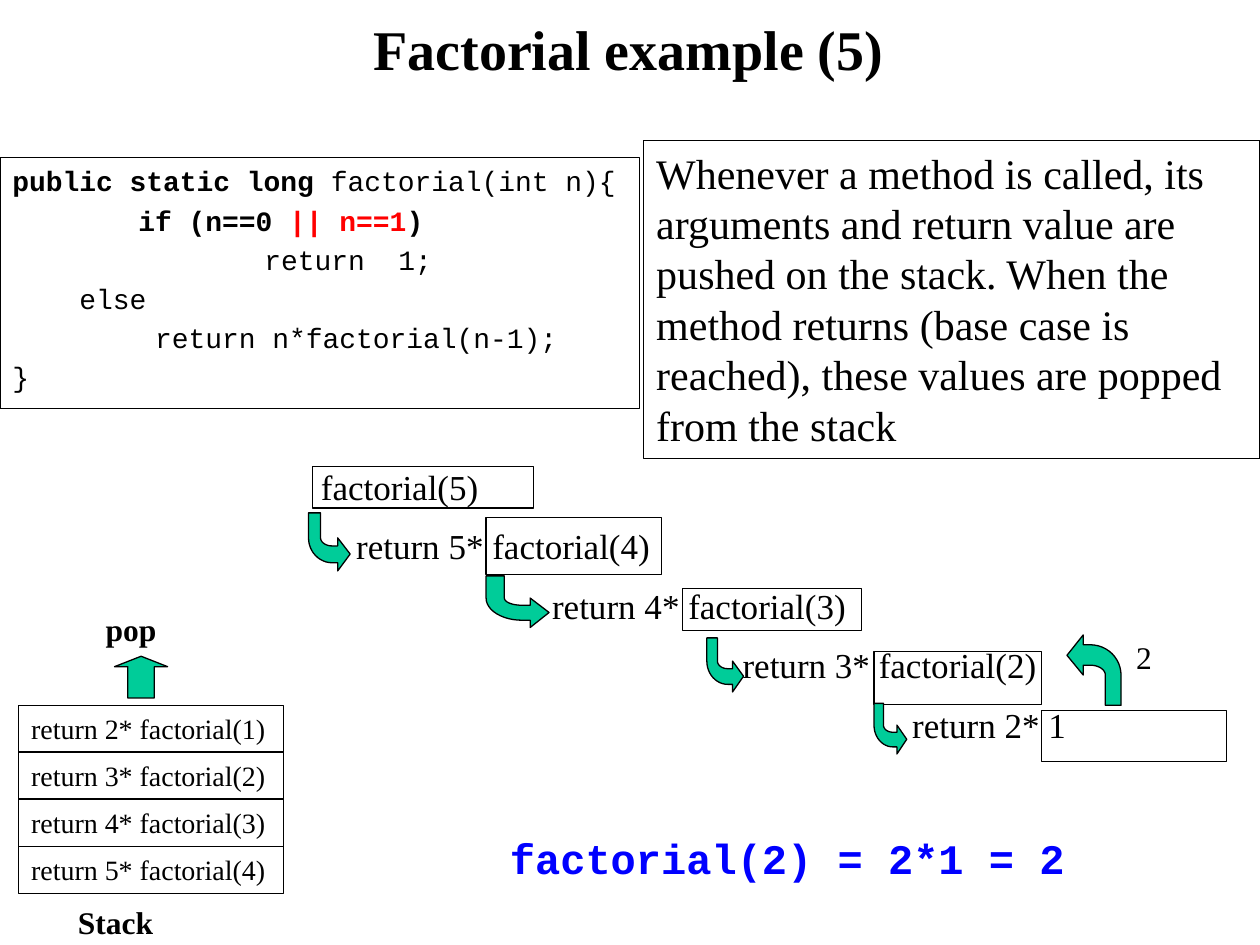
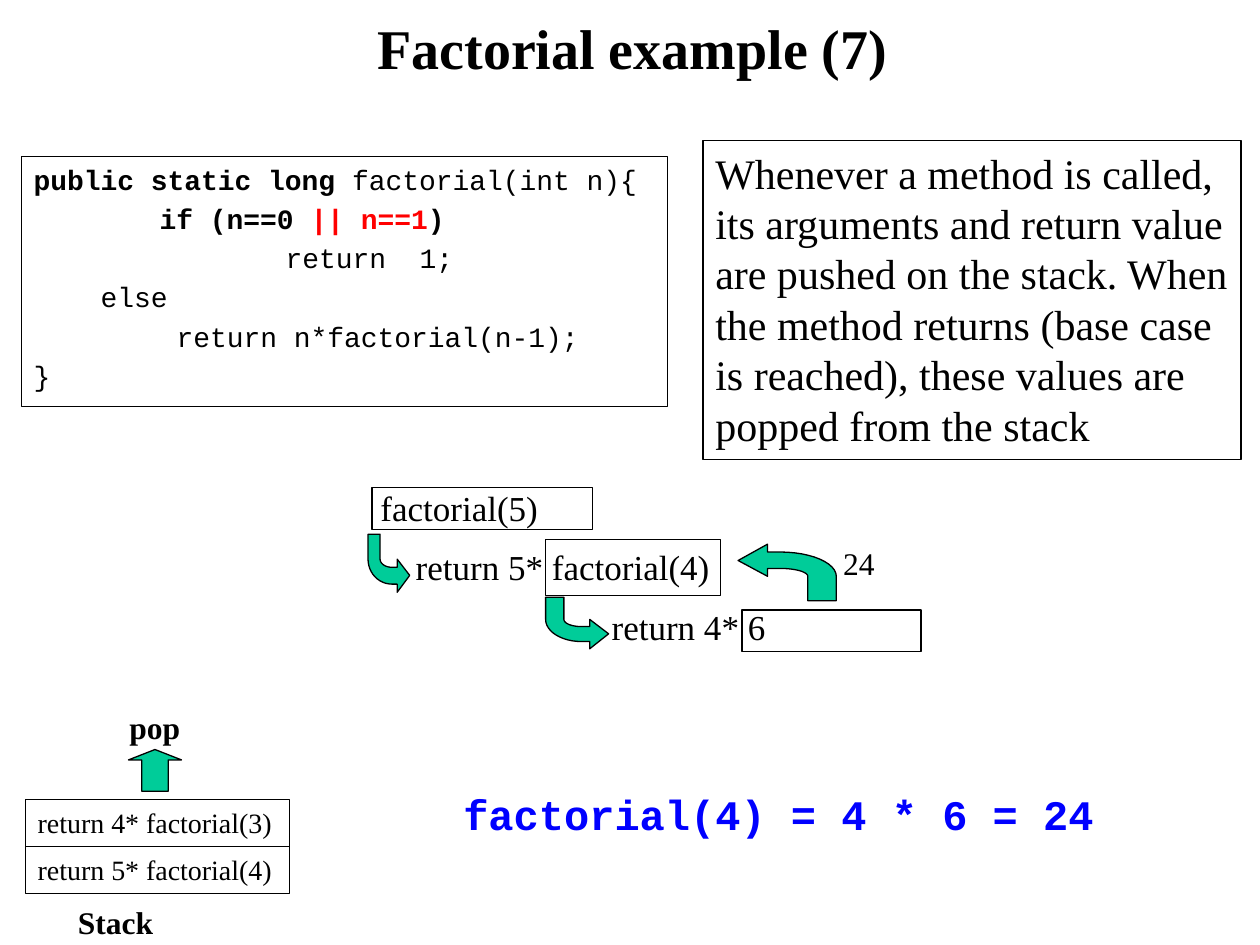
import math
import pptx
import pptx.util
import pptx.dml.color
import pptx.enum.shapes
import pptx.enum.text
import lxml.etree

Cm = pptx.util.Cm
Pt = pptx.util.Pt
Shapes = pptx.enum.shapes.MSO_SHAPE
Align = pptx.enum.text.PP_ALIGN
Anchor = pptx.enum.text.MSO_ANCHOR


class Theme:
    black, red, blue, green, white = "000000", "FF0000", "0000FF", "00CC99", "FFFFFF"
    serif, mono = "Times New Roman", "Courier New"
    line_width = 0.75
    title = {"name": serif, "size": 32, "bold": True}
    code = {"name": mono, "size": 16}
    note = {"name": serif, "size": 24}
    call = {"name": serif, "size": 20}
    frame = {"name": serif, "size": 16}
    label = {"name": serif, "size": 18, "bold": True}
    value = {"name": serif, "size": 18}
    result = {"name": mono, "size": 24, "bold": True, "color": blue}


BOLD = {"bold": True}
BOLD_RED = {"bold": True, "color": Theme.red}

CODE = [
    (0, [("public static long", BOLD), (" factorial(int n){", {})]),
    (2.54, [("if (n==0 ", BOLD), ("|| n==1", BOLD_RED), (")", BOLD)]),
    (5.08, [("return  1;", {})]),
    (1.35, [("else", {})]),
    (2.88, [("return n*factorial(n-1);", {})]),
    (0, [("}", {})]),
]
NOTE = ("Whenever a method is called, its arguments and return value are pushed on "
        "the stack. When the method returns (base case is reached), these values "
        "are popped from the stack")

CALL_INDENTS = [0, 0.71, 4.66, 8.5, 11.92]
CALL_FRAMES = [
    (0.08, 0.15, 4.45, 0.84),
    (3.58, 1.19, 3.53, 1.14),
    (7.54, 2.62, 3.61, 0.84),
    (11.4, 3.89, 3.38, 1.07),
    (14.78, 5.08, 3.73, 1.02),
]
CALL_ARROWS = [
    (0, 1.09, 0.84, 1.17),
    (3.58, 2.36, 1.27, 1.04),
    (8.03, 3.61, 0.74, 1.09),
    (11.4, 4.93, 0.66, 1.02),
]
STACK_BOTTOM, FRAME_WIDTH, FRAME_HEIGHT, FRAME_PITCH = 17.07, 5.33, 0.94, 0.95
LABEL_SIZE = (2.11, 1.02)
STACK_LABEL = (1.32, 18.08)

SLIDES = [
    {
        "title": ("Factorial example (5)", (1.88, 0.08, 21.59, 1.78)),
        "code": (0, 3.18, 12.9, 5.05),
        "note": (12.98, 2.84, 12.42, 6.4),
        "calls": ["factorial(5)", "return 5* factorial(4)", "return 4* factorial(3)",
                  "return 3* factorial(2)", "return 2* 1"],
        "calls_box": (6.22, 9.25, 18.75, 7.52),
        "value": ("2", (22.23, 12.73, 1.24, 1.02)),
        "value_arrow": (21.51, 12.8, 1.09, 1.42),
        "stack": ["return 5* factorial(4)", "return 4* factorial(3)",
                  "return 3* factorial(2)", "return 2* factorial(1)"],
        "stack_left": 0.38,
        "result": ("factorial(2) = 2*1 = 2", (10.03, 16.66, 11.99, 1.3)),
        "pop_arrow": (2.31, 13.23, 1.07, 0.84),
        "pop": (1.88, 12.17),
    },
    {
        "title": ("Factorial example (7)", (1.96, 0.1, 21.59, 1.7)),
        "code": (0.43, 3.15, 13.03, 5.05),
        "note": (14.17, 2.84, 10.85, 6.43),
        "calls": ["factorial(5)", "return 5* factorial(4)", "return 4* 6"],
        "calls_box": (7.42, 9.68, 13.23, 4.95),
        "value": ("24", (16.48, 10.85, 1.4, 1.02)),
        "value_arrow": (14.88, 10.97, 1.98, 1.14),
        "stack": ["return 5* factorial(4)", "return 4* factorial(3)"],
        "stack_left": 0.51,
        "result": ("factorial(4) = 4 * 6 = 24", (9.09, 15.77, 14.17, 1.3)),
        "pop_arrow": (2.59, 15.11, 1.07, 0.84),
        "pop": (2.36, 14.15),
    },
]


def color(value):
    return pptx.dml.color.RGBColor.from_string(value)


def assign(target, values):
    for name, value in values.items():
        setattr(target, name, value)


def paint(shape, fill=None, line=Theme.black):
    shape.shadow.inherit = False
    if fill:
        shape.fill.solid()
        shape.fill.fore_color.rgb = color(fill)
    else:
        shape.fill.background()
    shape.line.color.rgb = color(line)
    shape.line.width = Pt(Theme.line_width)


def add_preset(slide, box, kind=Shapes.RECTANGLE, fill=None, line=Theme.black):
    shape = slide.shapes.add_shape(kind, *map(Cm, box))
    paint(shape, fill, line)
    return shape


def write(shape, rows, style, spacing=0, align=Align.LEFT, anchor=Anchor.TOP):
    frame = shape.text_frame
    assign(frame, {"word_wrap": True, "vertical_anchor": anchor})
    for index, (indent, runs) in enumerate(rows):
        paragraph = frame.paragraphs[0] if index == 0 else frame.add_paragraph()
        paragraph.alignment = align
        if index:
            paragraph.space_before = Pt(style["size"] * spacing)
        if indent:
            properties = paragraph._p.get_or_add_pPr()
            properties.set("marL", str(Cm(indent)))
            properties.set("indent", "0")
        for text, changes in runs:
            run = paragraph.add_run()
            run.text = text
            values = {"bold": False, "color": Theme.black, **style, **changes}
            run.font.color.rgb = color(values.pop("color"))
            values["size"] = Pt(values["size"])
            assign(run.font, values)


def write_line(shape, text, style, **layout):
    write(shape, [(0, [(text, {})])], style, **layout)


def add_text(slide, box, text, style, **layout):
    write_line(slide.shapes.add_textbox(*map(Cm, box)), text, style, **layout)


def arc(radius_x, radius_y, start, end, steps=12):
    angles = [math.radians(start + (end - start) * i / steps) for i in range(steps + 1)]
    return [(0.57 + radius_x * math.cos(a), 0.43 + radius_y * math.sin(a)) for a in angles]


BENT_ARROW = [
    (1, 0.71), (0.7, 1), (0.7, 0.86), *arc(0.57, 0.43, 90, 180),
    (0, 0), (0.29, 0), *arc(0.28, 0.14, 180, 90), (0.7, 0.57), (0.7, 0.43),
]


def add_bent_arrow(slide, box, turned=False):
    left, top, width, height = map(Cm, box)
    outline = [(1 - x, 1 - y) if turned else (x, y) for x, y in BENT_ARROW]
    points = [(round(left + x * width), round(top + y * height)) for x, y in outline]
    builder = slide.shapes.build_freeform(*points[0])
    builder.add_line_segments(points[1:], close=True)
    paint(builder.convert_to_shape(), Theme.green)


def add_calls(slide, content):
    box = content["calls_box"]
    calls = content["calls"]
    rows = [(indent, [(text, {})]) for indent, text in zip(CALL_INDENTS, calls)]
    write(slide.shapes.add_textbox(*map(Cm, box)), rows, Theme.call, spacing=0.5)

    def place(offset):
        return (box[0] + offset[0], box[1] + offset[1], *offset[2:])

    for frame in CALL_FRAMES[:len(calls)]:
        add_preset(slide, place(frame))
    for arrow in CALL_ARROWS[:len(calls) - 1]:
        add_bent_arrow(slide, place(arrow))


def add_stack(slide, content):
    for level, text in enumerate(content["stack"]):
        top = STACK_BOTTOM - level * FRAME_PITCH
        frame = add_preset(slide, (content["stack_left"], top, FRAME_WIDTH, FRAME_HEIGHT))
        write_line(frame, text, Theme.frame)
    add_preset(slide, content["pop_arrow"], Shapes.UP_ARROW, Theme.green).adjustments[1] = 0.25
    add_text(slide, content["pop"] + LABEL_SIZE, "pop", Theme.label)
    add_text(slide, STACK_LABEL + LABEL_SIZE, "Stack", Theme.label)


def build_slide(presentation, content):
    slide = presentation.slides.add_slide(presentation.slide_layouts[6])
    title, box = content["title"]
    add_text(slide, box, title, Theme.title, align=Align.CENTER, anchor=Anchor.MIDDLE)
    write(add_preset(slide, content["code"]), CODE, Theme.code, spacing=0.2)
    add_calls(slide, content)
    value, box = content["value"]
    add_text(slide, box, value, Theme.value, align=Align.RIGHT)
    add_bent_arrow(slide, content["value_arrow"], turned=True)
    write_line(add_preset(slide, content["note"]), NOTE, Theme.note)
    result, box = content["result"]
    write_line(add_preset(slide, box, line=Theme.white), result, Theme.result)
    add_stack(slide, content)


presentation = pptx.Presentation()
assign(presentation, {"slide_width": Cm(25.4), "slide_height": Cm(19.05)})
for content in SLIDES:
    build_slide(presentation, content)
presentation.save("out.pptx")
